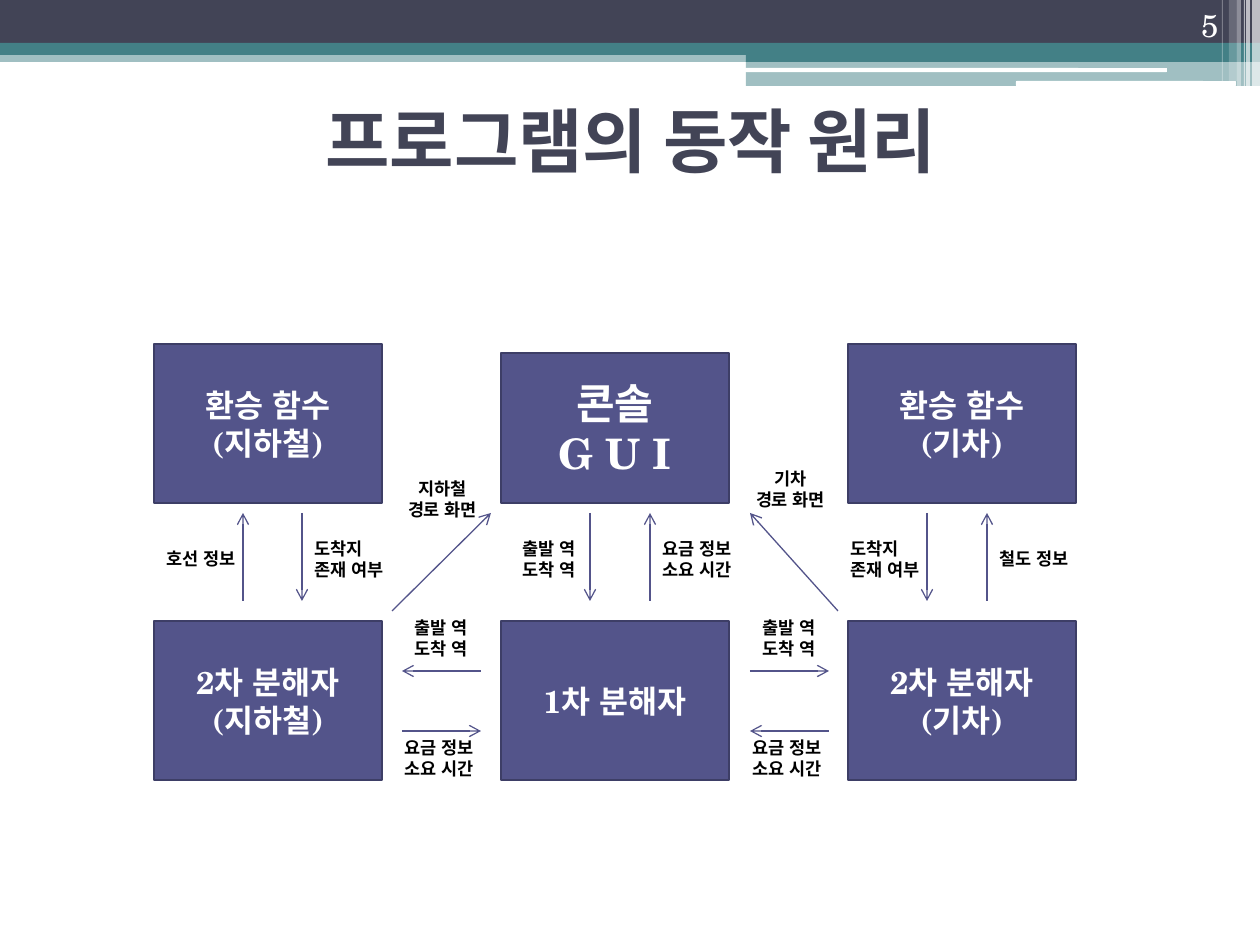
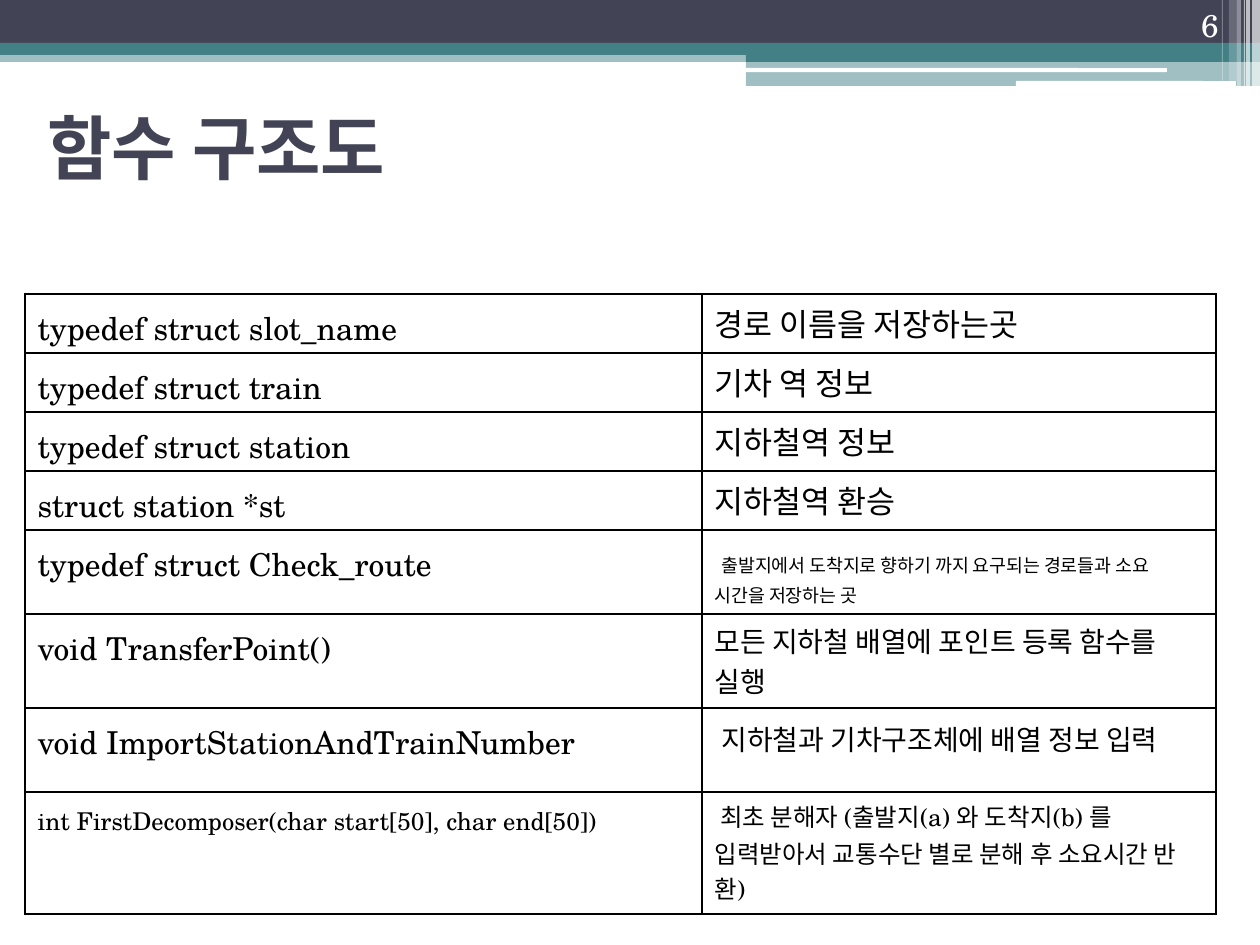
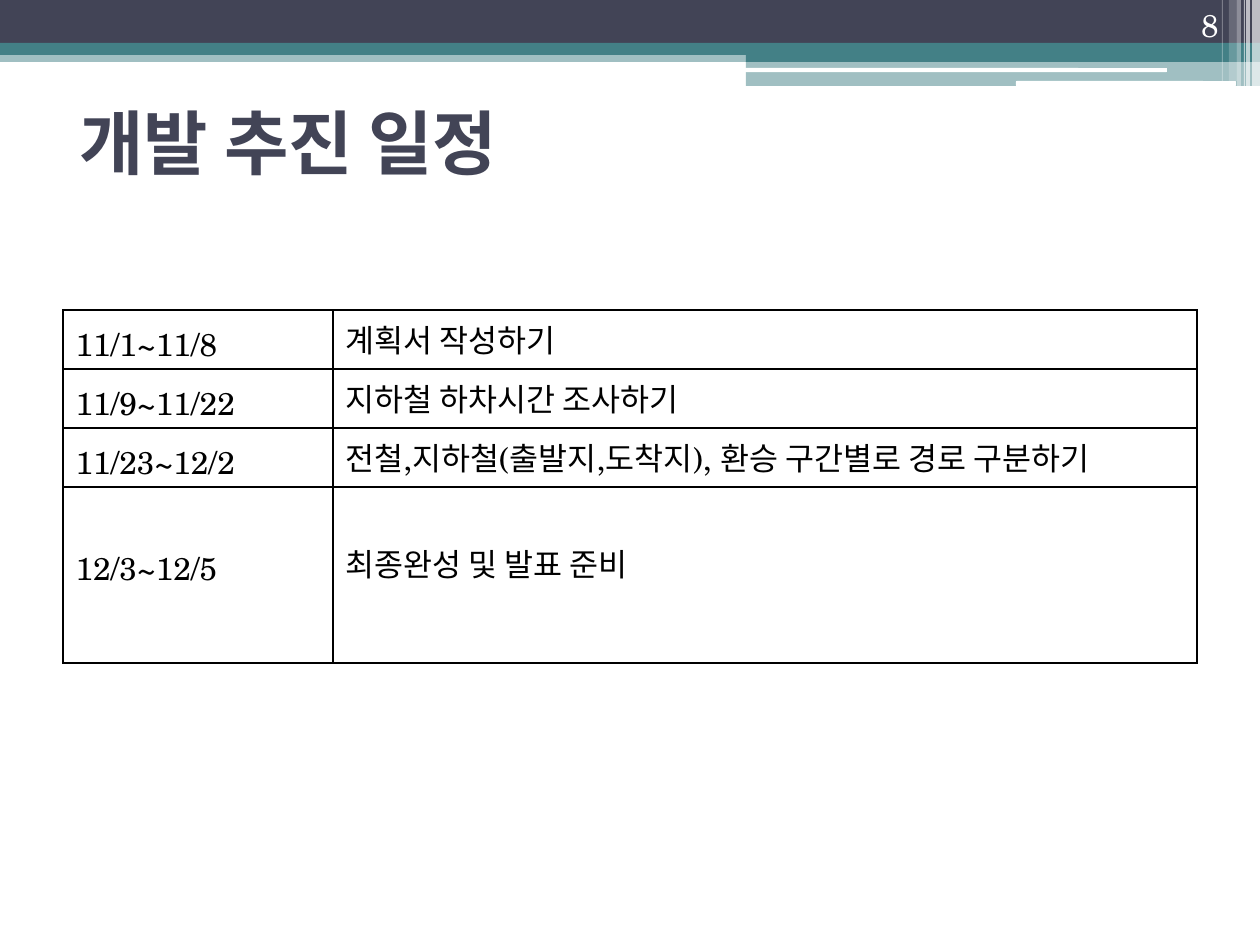
from lxml.etree import SubElement
from pptx import Presentation
from pptx.dml.color import RGBColor
from pptx.enum.shapes import MSO_CONNECTOR as Connector, MSO_SHAPE as Shape
from pptx.enum.text import MSO_ANCHOR as Anchor, MSO_AUTO_SIZE as AutoSize, PP_ALIGN as Align
from pptx.oxml.ns import qn
from pptx.util import Emu, Pt

SCALE = 914400 / 126
LATIN, KOREAN = "TeX Gyre Schola", "Noto Sans CJK KR"
NAVY, TEAL, WHITE, BLACK = "424456", "438086", "FFFFFF", "000000"
VIOLET, VIOLET_EDGE = "53548A", "3D3E66"
color = RGBColor.from_string


def px(*lengths):
    return [Emu(round(length * SCALE)) for length in lengths]


def write(frame, lines, size, ink, bold=False, align=Align.LEFT, latin=LATIN, korean=LATIN):
    """Each line is a string or a list of (text, size, latin font) runs."""
    for index, line in enumerate(lines):
        paragraph = frame.add_paragraph() if index else frame.paragraphs[0]
        paragraph.alignment = align
        runs = [(line, size, latin)] if isinstance(line, str) else line
        for text, points, name in runs:
            run = paragraph.add_run()
            run.text = text
            for key, value in {"size": Pt(points), "bold": bold, "name": name}.items():
                setattr(run.font, key, value)
            run.font.color.rgb = color(ink)
            SubElement(run._r.get_or_add_rPr(), qn("a:ea")).set("typeface", korean)


presentation = Presentation()
presentation.slide_width, presentation.slide_height = px(1260, 945)
layout = presentation.slide_layouts[5]
for placeholder in list(layout.placeholders):
    if placeholder.placeholder_format.idx >= 10:
        layout.shapes.element.remove(placeholder.element)

# Titles and page numbers
pages = [
    ("프로그램의 동작 원리", "5", 64, 66, Align.CENTER),
    ("함수 구조도", "6", 35, 73, Align.LEFT),
    ("개발 추진 일정", "8", 67, 68, Align.LEFT),
]
slides = []
for heading, number, left, top, align in pages:
    slide = presentation.slides.add_slide(layout)
    slides.append(slide)
    title = slide.shapes.title
    title.left, title.top, title.width, title.height = px(left, top, 1134, 147)
    title.text_frame.auto_size = AutoSize.NONE
    title.text_frame.vertical_anchor = Anchor.MIDDLE
    write(title.text_frame, [heading], 40, NAVY, True, align, KOREAN, KOREAN)
    page_number = slide.shapes.add_textbox(*px(1126, 0, 105, 50))
    page_number.text_frame.word_wrap = True
    page_number.text_frame.vertical_anchor = Anchor.BOTTOM
    write(page_number.text_frame, [number], 18, WHITE, align=Align.RIGHT)

# Header bands, moved to the shared layout: left, top, width, height, colour, opacity
bands = [
    (0, 50, 1260, 12, TEAL, 50),
    (0, 0, 1260, 43, NAVY, 100),
    (0, 43, 1260, 12, TEAL, 100),
    (746, 49, 514, 13, TEAL, 100),
    (746, 61, 514, 25, TEAL, 50),
    (745, 68, 422, 4, WHITE, 100),
    (1016, 81, 220, 5, WHITE, 100),
    (1252, 0, 8, 86, WHITE, 65),
    (1246, 0, 4, 86, WHITE, 65),
    (1244, 0, 1, 86, WHITE, 60),
    (1237, 0, 4, 86, WHITE, 40),
    (1229, 0, 8, 81, WHITE, 20),
    (1222, 0, 1, 81, WHITE, 30),
]
for *place, fill, opacity in bands:
    kind = Shape.ROUNDED_RECTANGLE if place[3] <= 5 else Shape.RECTANGLE
    band = slides[0].shapes.add_shape(kind, *px(*place))
    band.shadow.inherit = False
    band.fill.solid()
    band.fill.fore_color.rgb = color(fill)
    band.line.fill.background()
    if opacity < 100:
        tint = next(band.element.spPr.iter(qn("a:srgbClr")))
        SubElement(tint, qn("a:alpha")).set("val", str(opacity * 1000))
    layout.shapes.element.append(band.element)

# Slide 1: modules on a grid of three columns and two rows
shapes = slides[0].shapes
modules = [
    (1, 353, 150, 24, ["콘솔", "G U I"]),
    (1, 621, 159, 18, ["1차 분해자"]),
    (2, 621, 159, 18, ["2차 분해자", "(기차)"]),
    (2, 344, 159, 18, ["환승 함수", "(기차)"]),
    (0, 344, 159, 18, ["환승 함수", "(지하철)"]),
    (0, 621, 159, 18, ["2차 분해자", "(지하철)"]),
]
for column, top, height, size, lines in modules:
    module = shapes.add_shape(Shape.RECTANGLE, *px(154 + 347 * column, top, 228, height))
    module.shadow.inherit = False
    module.fill.solid()
    module.fill.fore_color.rgb = color(VIOLET)
    module.line.color.rgb = color(VIOLET_EDGE)
    module.line.width = Pt(1.5)
    module.text_frame.vertical_anchor = Anchor.MIDDLE
    write(module.text_frame, lines, size, WHITE, True, Align.CENTER)

# Arrows between the modules
UPPER, LOWER = 513, 601
arrows = [(x, UPPER, x, LOWER) for x in (590, 302, 927)]
arrows += [(x, LOWER, x, UPPER) for x in (650, 243, 987)]
arrows += [
    (481, 671, 402, 671), (402, 731, 481, 731),
    (750, 671, 829, 671), (829, 731, 750, 731),
    (392, 611, 491, UPPER), (838, 611, 750, UPPER),
]
for ends in arrows:
    arrow = shapes.add_connector(Connector.STRAIGHT, *px(*ends))
    arrow.line.color.rgb = color(VIOLET)
    arrow.line.width = Pt(0.75)
    properties = arrow.element.spPr
    SubElement(properties.find(qn("a:ln")), qn("a:tailEnd")).set("type", "arrow")
    SubElement(properties, qn("a:effectLst"))

# Arrow labels
stations, costs = ["출발 역", "도착 역"], ["요금 정보", "소요 시간"]
arrival = ["도착지", "존재 여부"]
labels = [
    (510, 532, 83, stations), (402, 611, 83, stations), (750, 611, 83, stations),
    (392, 731, 101, costs), (740, 731, 101, costs), (650, 532, 101, costs),
    (154, 542, 101, ["호선 정보"]), (987, 542, 101, ["철도 정보"]),
    (302, 532, 101, arrival), (838, 532, 101, arrival),
    (392, 472, 101, ["지하철", "경로 화면"]), (740, 462, 101, ["기차", "경로 화면"]),
]
for left, top, width, lines in labels:
    label = shapes.add_textbox(*px(left, top, width, 13 + 21 * len(lines)))
    label.text_frame.word_wrap = False
    label.text_frame.auto_size = AutoSize.SHAPE_TO_FIT_TEXT
    align = Align.CENTER if "경로 화면" in lines else Align.LEFT
    write(label.text_frame, lines, 10, BLACK, True, align)

# Slides 2 and 3: function list and schedule
wide_space = (" ", 18, KOREAN)
functions = [
    ("typedef struct slot_name", "경로 이름을 저장하는곳"),
    ("typedef struct train", "기차 역 정보"),
    ("typedef struct station", "지하철역 정보"),
    ("struct station *st", "지하철역 환승"),
    ("typedef struct Check_route",
     [wide_space, ("출발지에서 도착지로 향하기 까지 요구되는 경로들과 소요 시간을 저장하는 곳", 10.5, "Arial")]),
    ("void TransferPoint()", [("모든 지하철 배열에 포인트 등록 함수를 실행", 16, "Arial")]),
    ("void ImportStationAndTrainNumber",
     [wide_space, ("지하철과 기차구조체에 배열 정보 입력", 16, "Arial")]),
    ([("int FirstDecomposer(char start[50], char end[50])", 14, LATIN)],
     [(" 최초 분해자 (출발지(a) 와 도착지(b) 를 입력받아서 교통수단 별로 분해 후 소요시간 반환)", 14, LATIN)]),
]
schedule = [
    ("11/1~11/8", "계획서 작성하기"),
    ("11/9~11/22", "지하철 하차시간 조사하기"),
    ("11/23~12/2", "전철,지하철(출발지,도착지), 환승 구간별로 경로 구분하기"),
    ("12/3~12/5", "최종완성 및 발표 준비"),
]
tables = [
    (slides[1], functions, 25, 294, (677, 514), (59, 59, 59, 59, 84, 94, 84, 122)),
    (slides[2], schedule, 63, 310, (270, 864), (59, 59, 59, 176)),
]
for slide, rows, left, top, widths, heights in tables:
    place = px(left, top, sum(widths), sum(heights))
    table = slide.shapes.add_table(len(rows), len(widths), *place).table
    table.first_row = table.horz_banding = False
    for column, width in zip(table.columns, px(*widths)):
        column.width = width
    for row, height, contents in zip(table.rows, heights, rows):
        row.height = px(height)[0]
        # Latin lines start lower to share a baseline; the tall last schedule row sits lower still
        drop = 47 if height == 176 else 0
        for cell, content, inset in zip(row.cells, contents, (11, 6)):
            cell.margin_top = px(inset + drop)[0]
            write(cell.text_frame, [content], 18, BLACK, korean=KOREAN)
            properties = cell._tc.get_or_add_tcPr()
            for side in ("a:lnL", "a:lnR", "a:lnT", "a:lnB"):
                border = SubElement(properties, qn(side), w=str(Pt(1)))
                SubElement(SubElement(border, qn("a:solidFill")), qn("a:srgbClr")).set("val", BLACK)
            cell.fill.background()

presentation.save("out.pptx")
